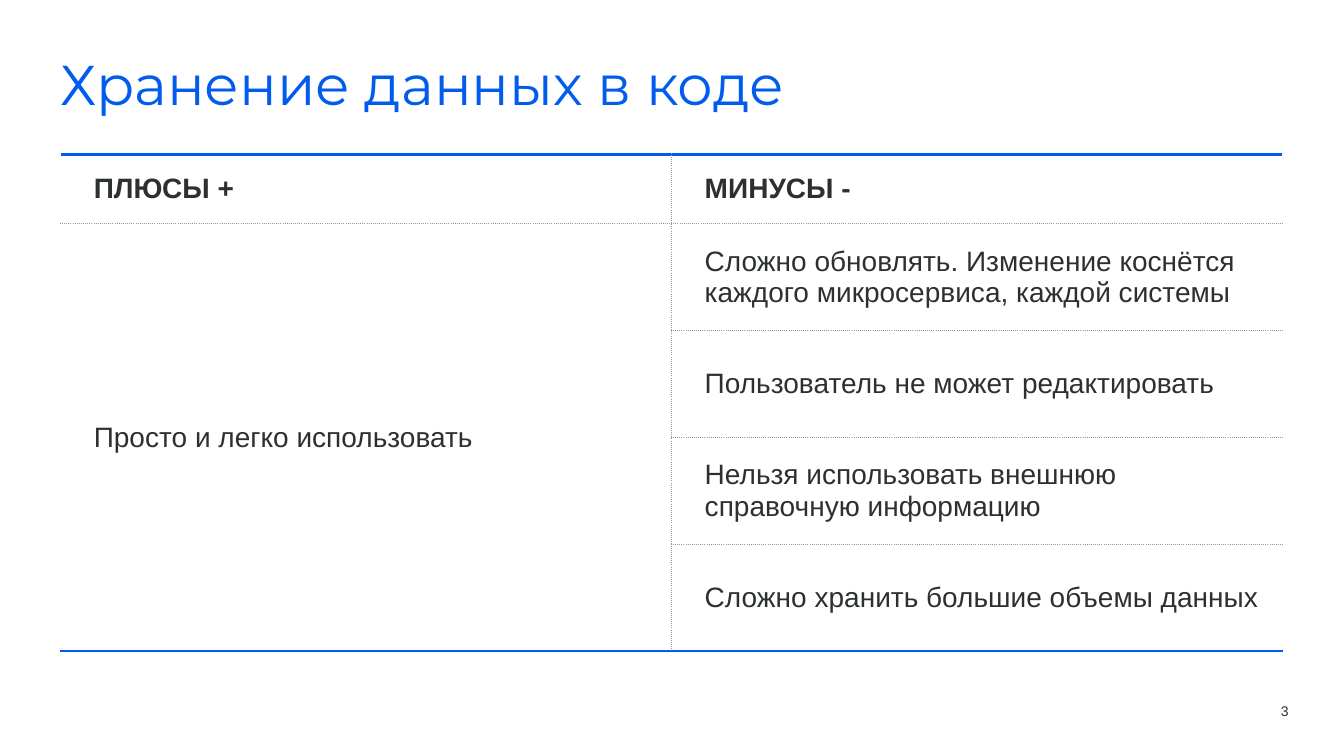
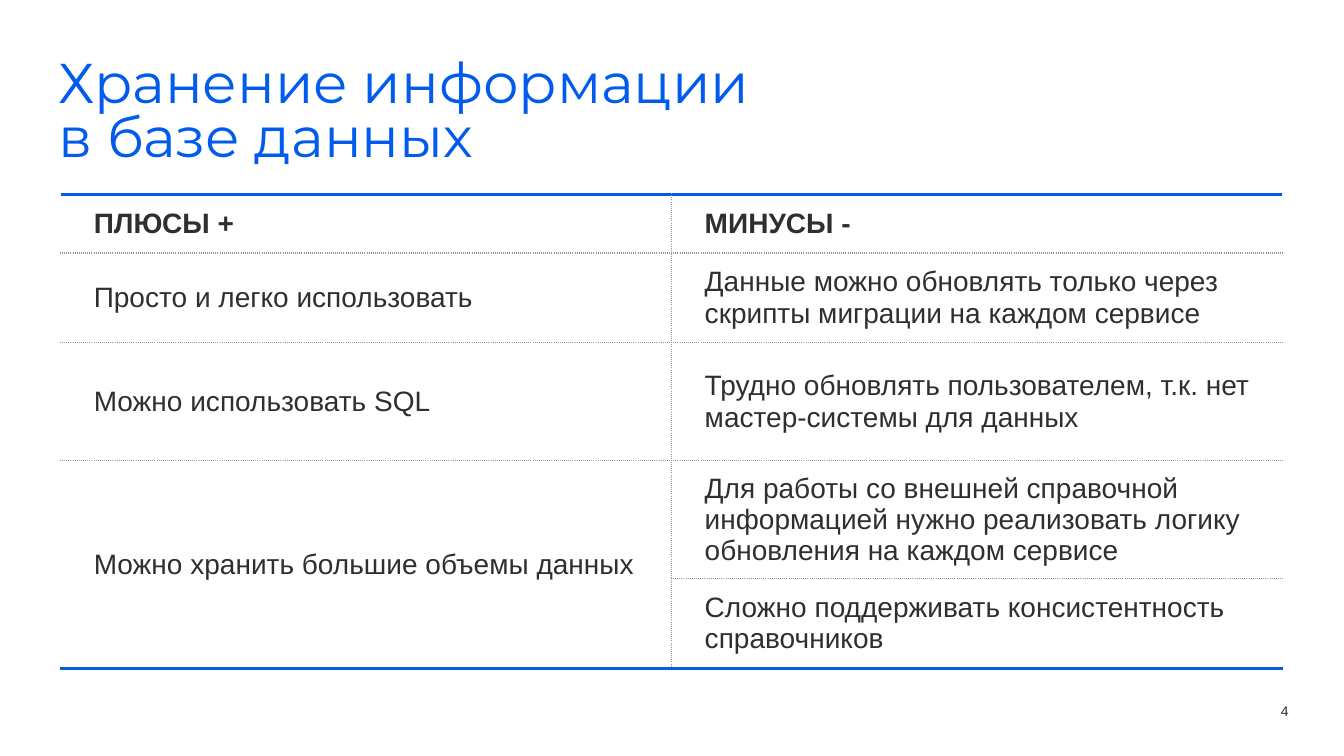
"""Build two slides that compare the pros and cons of ways to store data."""
from pptx import Presentation
from pptx.dml.color import RGBColor
from pptx.enum.text import MSO_ANCHOR as ANCHOR, MSO_AUTO_SIZE as AUTO, PP_ALIGN as ALIGN
from pptx.oxml import parse_xml
from pptx.oxml.ns import nsdecls
from pptx.util import Inches, Pt

BLUE, DARK, GREY, WHITE = "015BEC", "2D3031", "93999B", "FFFFFF"
RULE, DOTTED, PLAIN = (BLUE, 2.25, "solid"), (GREY, 1, "sysDot"), (WHITE, 1, "solid")
HEADER = ("ПЛЮСЫ +", "МИНУСЫ -")
COL_W = 6.06

SLIDES = [
    dict(number=3, title="Хранение данных в коде", title_at=(0.6, 0.49, 12.42, 0.92), spacing=None,
         top=1.53, rows=[0.69, 1.06, 1.06, 1.06, 1.06],
         pros=["Просто и легко использовать"],
         cons=["Сложно обновлять. Изменение коснётся каждого микросервиса, каждой системы",
               "Пользователь не может редактировать",
               "Нельзя использовать внешнюю справочную информацию",
               "Сложно хранить большие объемы данных"]),
    dict(number=4, title="Хранение информации\vв базе данных", title_at=(0.58, 0.6, 12.42, 1.33), spacing=0.8,
         top=1.93, rows=[0.58, 0.89, 1.17, 1.17, 0.89],
         pros=["Просто и легко использовать",
               "Можно использовать SQL",
               "Можно хранить большие объемы данных"],
         cons=["Данные можно обновлять только через скрипты миграции на каждом сервисе",
               "Трудно обновлять пользователем, т.к. нет мастер-системы для данных",
               "Для работы со внешней справочной информацией нужно реализовать логику обновления на каждом сервисе",
               "Сложно поддерживать консистентность справочников"]),
]


def write(tf, text, size, color=DARK, font="Arial", bold=False, align=ALIGN.LEFT,
          spacing=None, indent=0, margin=0, anchor=ANCHOR.MIDDLE):
    tf.vertical_anchor = anchor
    tf.margin_left = tf.margin_right = tf.margin_top = tf.margin_bottom = Inches(margin)
    p = tf.paragraphs[0]
    p.text = text
    p.alignment, p.line_spacing = align, spacing
    if indent:
        pPr = p._p.get_or_add_pPr()
        pPr.set("marL", str(Inches(indent)))
        pPr.set("indent", "0")
    for r in p.runs:
        r.font.name, r.font.size, r.font.bold = font, Pt(size), bold
        r.font.color.rgb = RGBColor.from_string(color)


def style_cell(cell, **borders):
    tcPr = cell._tc.get_or_add_tcPr()
    for side in "LRTB":
        if borders.get(side):
            color, width, dash = borders[side]
            tcPr.append(parse_xml(
                f'<a:ln{side} {nsdecls("a")} w="{Pt(width)}"><a:solidFill><a:srgbClr val="{color}"/>'
                f'</a:solidFill><a:prstDash val="{dash}"/></a:ln{side}>'))
    cell.fill.solid()
    cell.fill.fore_color.rgb = RGBColor.from_string(WHITE)


prs = Presentation()
prs.slide_width, prs.slide_height = Inches(13.33), Inches(7.5)

for data in SLIDES:
    s = prs.slides.add_slide(prs.slide_layouts[6])

    title = s.shapes.add_textbox(*map(Inches, data["title_at"])).text_frame
    title.word_wrap = True
    write(title, data["title"], 40, BLUE, "Montserrat", spacing=data["spacing"], anchor=ANCHOR.TOP)

    number = s.shapes.add_textbox(Inches(12.64), Inches(6.96), Inches(0.14), Inches(0.17)).text_frame
    number.word_wrap = False
    number.auto_size = AUTO.SHAPE_TO_FIT_TEXT
    write(number, str(data["number"]), 10, align=ALIGN.RIGHT, spacing=Pt(13))

    heights, pros, cons = data["rows"], data["pros"], data["cons"]
    last = len(heights) - 1
    table = s.shapes.add_table(len(heights), 2, Inches(0.6), Inches(data["top"]),
                               Inches(2 * COL_W), Inches(sum(heights))).table
    table.first_row = table.horz_banding = False
    for col in table.columns:
        col.width = Inches(COL_W)
    for row, height in zip(table.rows, heights):
        row.height = Inches(height)
    if len(pros) < last:
        table.cell(len(pros), 0).merge(table.cell(last, 0))

    for c, texts in enumerate((pros, cons)):
        for r, text in enumerate([HEADER[c], *texts]):
            write(table.cell(r, c).text_frame, text, 20, bold=r == 0, indent=0.28)
        for r in range(last + 1):
            cell = table.cell(r, c)
            cell.vertical_anchor = ANCHOR.MIDDLE
            cell.margin_left = cell.margin_right = cell.margin_top = cell.margin_bottom = Inches(0.05)
            top = None if cell.is_spanned else DOTTED if r else RULE
            at_end = r == last or cell.is_merge_origin
            bottom = RULE if at_end else None if cell.is_spanned else DOTTED
            style_cell(cell, L=DOTTED if c else PLAIN, R=PLAIN if c else DOTTED, T=top, B=bottom)

prs.save("out.pptx")
